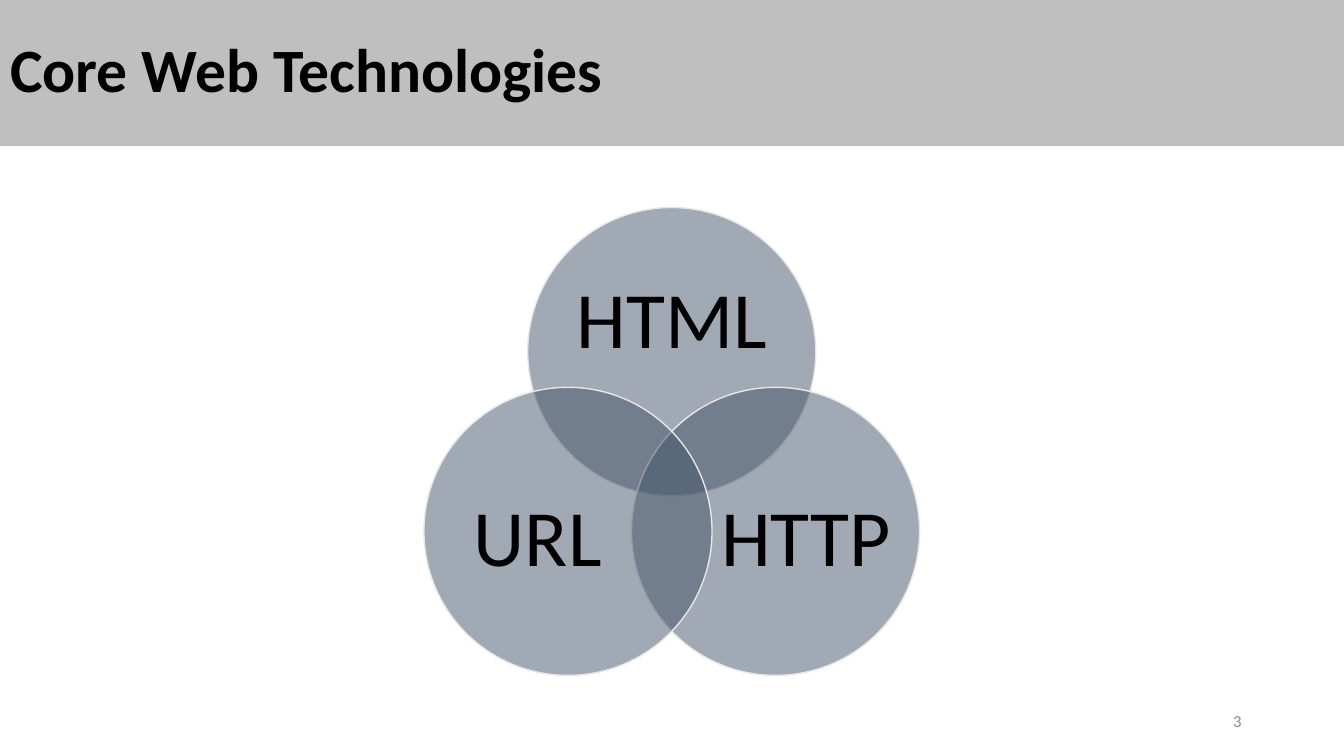
from dataclasses import dataclass
from math import cos, radians, sin

from lxml import etree
from pptx import Presentation
from pptx import util as u
from pptx.dml.color import RGBColor
from pptx.enum import shapes, text
from pptx.oxml.ns import qn


@dataclass(frozen=True)
class Theme:
    """Colours, font and type sizes of the deck."""
    font: str = "Calibri"
    ink: str = "000000"
    band: str = "BFBFBF"
    circle: str = "44546A"
    outline: str = "E7E6E6"
    muted: str = "8C8C8C"
    title_pt: int = 44
    label_pt: int = 57
    number_pt: int = 12


class Deck:
    """Holds the theme and the current slide."""

    def __init__(self, prs, theme):
        """Start a title-only slide."""
        self.t = theme
        self.s = prs.slides.add_slide(prs.slide_layouts[5])

    def add_text(self, sp, words, size, color, align, bold=False, spacing=0.9):
        """Put one formatted run into a shape, centred vertically."""
        tf = sp.text_frame
        tf.word_wrap = True
        tf.auto_size = text.MSO_AUTO_SIZE.NONE
        tf.vertical_anchor = text.MSO_ANCHOR.MIDDLE
        p = tf.paragraphs[0]
        p.alignment = align
        p.line_spacing = spacing
        r = p.add_run()
        r.text = words
        r.font.name = self.t.font
        r.font.size = u.Pt(size)
        r.font.bold = bold
        r.font.color.rgb = RGBColor.from_string(color)

    def title(self, words, width, height):
        """Turn the title placeholder into a band along the top."""
        sp = self.s.shapes.title
        sp.left, sp.top, sp.width, sp.height = 0, 0, width, height
        sp.fill.solid()
        sp.fill.fore_color.rgb = RGBColor.from_string(self.t.band)
        self.add_text(sp, words, self.t.title_pt, self.t.ink,
                      text.PP_ALIGN.LEFT, bold=True)

    def circle(self, cx, cy, diameter, opacity=50):
        """Draw a translucent circle around a centre given in cm."""
        sp = self.s.shapes.add_shape(
            shapes.MSO_SHAPE.OVAL, u.Cm(cx - diameter / 2),
            u.Cm(cy - diameter / 2), u.Cm(diameter), u.Cm(diameter))
        sp.shadow.inherit = False
        sp.fill.solid()
        sp.fill.fore_color.rgb = RGBColor.from_string(self.t.circle)
        color = sp.element.spPr.find(qn("a:solidFill"))[0]
        etree.SubElement(color, qn("a:alpha")).set("val", str(opacity * 1000))
        sp.line.color.rgb = RGBColor.from_string(self.t.outline)
        sp.line.width = u.Pt(1)

    def label(self, words, cx, cy, width, height):
        """Add a label around a centre given in cm."""
        sp = self.s.shapes.add_textbox(
            u.Cm(cx - width / 2), u.Cm(cy - height / 2),
            u.Cm(width), u.Cm(height))
        tf = sp.text_frame
        tf.margin_left = tf.margin_right = tf.margin_top = tf.margin_bottom = 0
        self.add_text(sp, words, self.t.label_pt, self.t.ink,
                      text.PP_ALIGN.CENTER)

    def number(self, words, left, top, width, height):
        """Add the slide number, aligned right."""
        sp = self.s.shapes.add_textbox(
            u.Cm(left), u.Cm(top), u.Cm(width), u.Cm(height))
        self.add_text(sp, words, self.t.number_pt, self.t.muted,
                      text.PP_ALIGN.RIGHT, spacing=1.0)


def venn(deck, cx, cy, radius, diameter, sets):
    """Spread the sets clockwise from the top around a common centre."""
    for i, (words, dx, dy, width, height) in enumerate(sets):
        angle = radians(360 / len(sets) * i - 90)
        deck.circle(cx + radius * cos(angle), cy + radius * sin(angle), diameter)
        deck.label(words, cx + dx, cy + dy, width, height)


def main():
    """Build the slide and save it."""
    prs = Presentation()
    prs.slide_width, prs.slide_height = u.Cm(33.87), u.Cm(19.05)
    deck = Deck(prs, Theme())
    deck.title("Core Web Technologies", prs.slide_width, u.Cm(3.68))
    # Each set: label, offset of the label from the centre, label size
    venn(deck, cx=16.93, cy=11.88, radius=3.02, diameter=7.26, sets=[
        ("HTML", 0, -3.76, 5.32, 3.26),
        ("HTTP", 3.38, 1.74, 4.35, 3.99),
        ("URL", -3.38, 1.74, 4.35, 3.99),
    ])
    deck.number("3", 23.92, 17.66, 7.62, 1.01)
    prs.save("out.pptx")


main()
